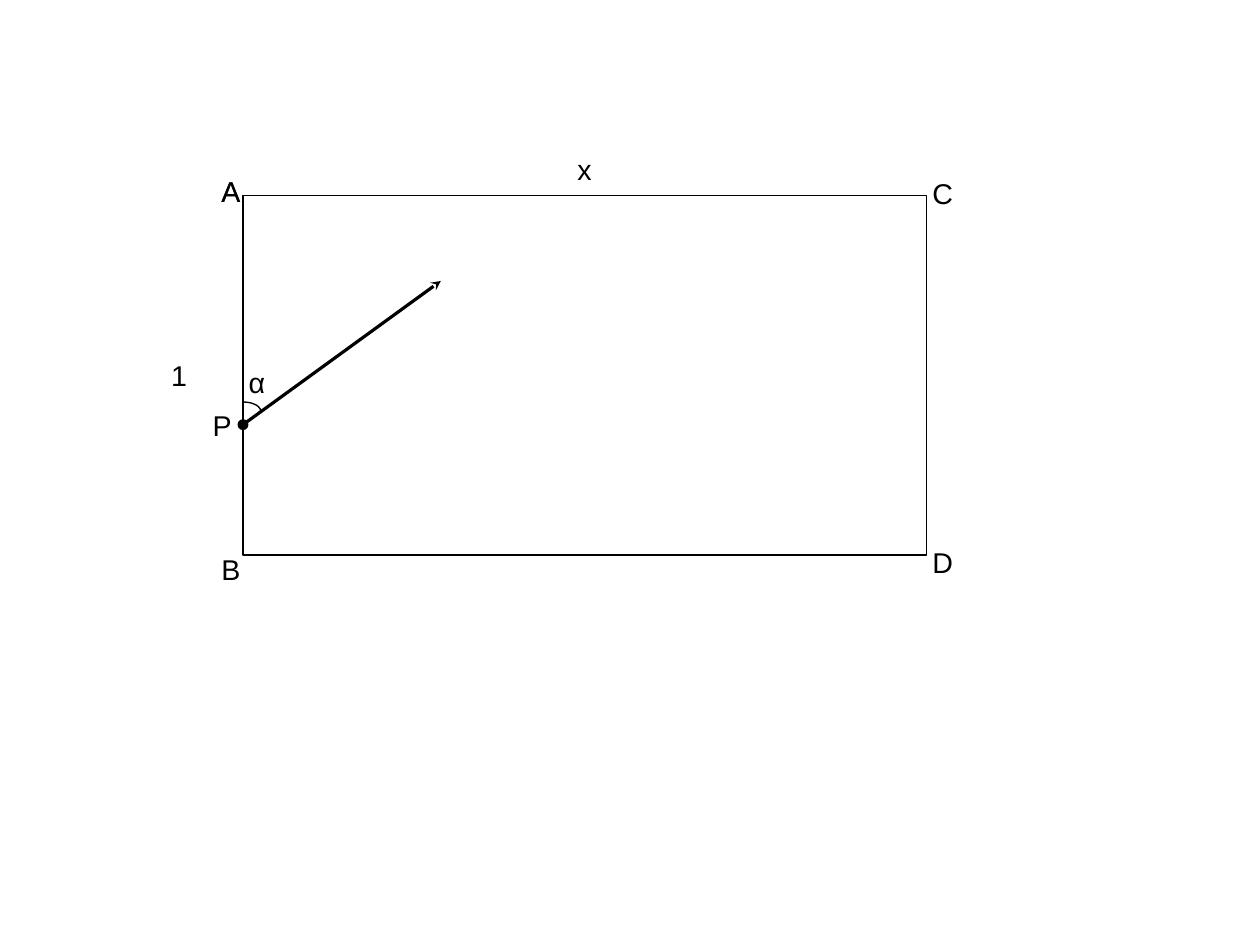
from dataclasses import dataclass

import pptx
import pptx.dml.color
import pptx.enum.shapes
import pptx.enum.text
import pptx.oxml
import pptx.oxml.ns
import pptx.util

Pt = pptx.util.Pt
Shapes = pptx.enum.shapes.MSO_SHAPE
COLORS = {"ink": "000000"}
LEFT, TOP, WIDTH, HEIGHT = 153.1, 123, 430.6, 226.6
POINT_Y = 267.5
DOT_RADIUS = 3
ARC_RADIUS_X, ARC_RADIUS_Y = 11.2, 5.8
ARC_CENTER_Y = 259
THIN, THICK = 0.85, 2


@dataclass
class Label:
    text: str
    left: float
    top: float
    width: float = 26
    height: float = 27.4
    wrap: bool = True


CORNER_A = Label("A", 132.4, 105.8)
LABELS = [
    CORNER_A,
    Label("B", 132.4, 343.8),
    Label("D", 580.3, 339.4),
    CORNER_A,
    Label("C", 580.3, 107.3),
    Label("P", 126.9, 253.4),
    Label("α", 149.6, 226.1),
    Label("x", 356.6, 92.2, 23.8, 28.8, wrap=False),
    Label("1", 100.8, 221.8, 24.5, 28.8, wrap=False),
]


def ink() -> pptx.dml.color.RGBColor:
    return pptx.dml.color.RGBColor.from_string(COLORS["ink"])


def add_outline(slide, kind, left: float, top: float, width: float, height: float,
                filled: bool = False):
    shape = slide.shapes.add_shape(kind, Pt(left), Pt(top), Pt(width), Pt(height))
    shape.shadow.inherit = False
    if filled:
        shape.fill.solid()
        shape.fill.fore_color.rgb = ink()
    else:
        shape.fill.background()
    shape.line.color.rgb = ink()
    shape.line.width = Pt(THIN)
    return shape


def add_arrow(slide, start: tuple[float, float], end: tuple[float, float]):
    connector = slide.shapes.add_connector(
        pptx.enum.shapes.MSO_CONNECTOR.STRAIGHT, *map(Pt, start + end))
    connector.line.color.rgb = ink()
    connector.line.width = Pt(THICK)
    line = connector.line._get_or_add_ln()
    line.append(pptx.oxml.parse_xml(
        f'<a:tailEnd {pptx.oxml.ns.nsdecls("a")} type="stealth"/>'))
    connector._element.spPr.append(pptx.oxml.parse_xml(
        f'<a:effectLst {pptx.oxml.ns.nsdecls("a")}/>'))
    return connector


def write_text(shape, text: str, *, size: float = 18, font: str = "Arial",
               wrap: bool = True) -> None:
    frame = shape.text_frame
    frame.word_wrap = wrap
    if not wrap:
        frame.auto_size = pptx.enum.text.MSO_AUTO_SIZE.SHAPE_TO_FIT_TEXT
    run = frame.paragraphs[0].add_run()
    run.text = text
    run.font.size = Pt(size)
    run.font.name = font
    run.font.color.rgb = ink()


def add_label(slide, label: Label) -> None:
    box = slide.shapes.add_textbox(
        Pt(label.left), Pt(label.top), Pt(label.width), Pt(label.height))
    write_text(box, label.text, wrap=label.wrap)


presentation = pptx.Presentation()
presentation.slide_width = Pt(793.75)
presentation.slide_height = Pt(595.25)
slide = presentation.slides.add_slide(presentation.slide_layouts[6])

add_outline(slide, Shapes.RECTANGLE, LEFT, TOP, WIDTH, HEIGHT)
add_outline(slide, Shapes.OVAL, LEFT - DOT_RADIUS, POINT_Y - DOT_RADIUS,
            2 * DOT_RADIUS, 2 * DOT_RADIUS, filled=True)
add_arrow(slide, (LEFT, POINT_Y), (277.7, 177))
add_outline(slide, Shapes.ARC, LEFT - ARC_RADIUS_X, ARC_CENTER_Y - ARC_RADIUS_Y,
            2 * ARC_RADIUS_X, 2 * ARC_RADIUS_Y)
for label in LABELS:
    add_label(slide, label)

presentation.save("out.pptx")
